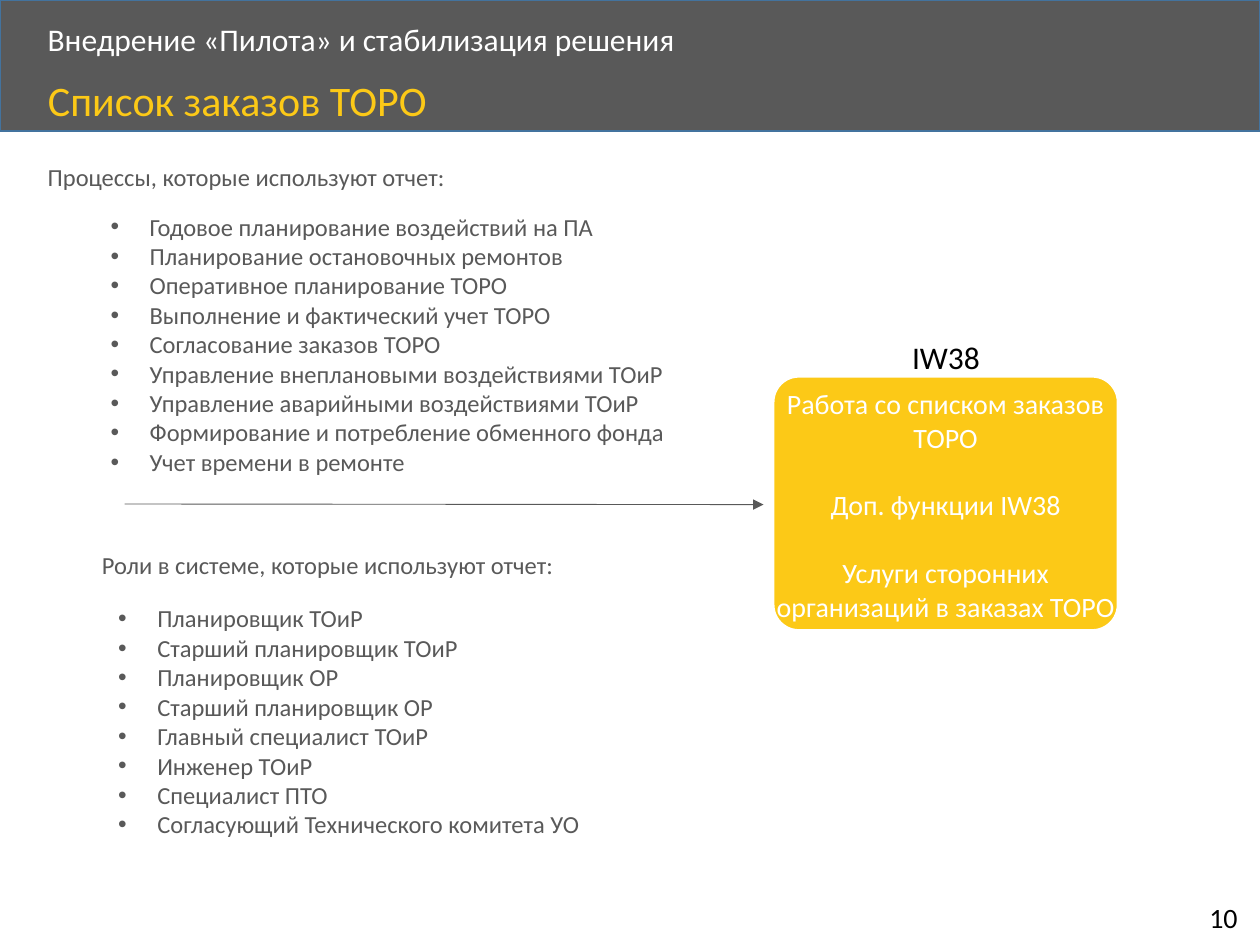
from lxml import etree
from pptx import Presentation
from pptx.dml.color import RGBColor
from pptx.enum.shapes import MSO_CONNECTOR, MSO_SHAPE
from pptx.enum.text import MSO_ANCHOR as ANCHOR, MSO_AUTO_SIZE as AUTO, PP_ALIGN as ALIGN
from pptx.oxml.ns import qn
from pptx.util import Inches, Pt

GREY = RGBColor(0x59, 0x59, 0x59)
YELLOW = RGBColor(0xFC, 0xC9, 0x17)
BLUE = RGBColor(0x43, 0x73, 0x9E)
WHITE = RGBColor(0xFF, 0xFF, 0xFF)
BLACK = RGBColor(0, 0, 0)

PROCESSES = [
    "Годовое планирование воздействий на ПА",
    "Планирование остановочных ремонтов",
    "Оперативное планирование ТОРО",
    "Выполнение и фактический учет ТОРО",
    "Согласование заказов ТОРО",
    "Управление внеплановыми воздействиями ТОиР",
    "Управление аварийными воздействиями ТОиР",
    "Формирование и потребление обменного фонда",
    "Учет времени в ремонте",
]
ROLES = [
    "Планировщик ТОиР",
    "Старший планировщик ТОиР",
    "Планировщик ОР",
    "Старший планировщик ОР",
    "Главный специалист ТОиР",
    "Инженер ТОиР",
    "Специалист ПТО",
    "Согласующий Технического комитета УО",
]
FUNCTIONS = [
    "Работа со списком заказов ТОРО",
    "Доп. функции IW38",
    "Услуги сторонних организаций в заказах ТОРО",
]


class SlideBuilder:
    font = "Calibri"
    indent = Inches(0.31)

    def __init__(self, slide):
        self.s = slide

    def format(self, p, size, color, align=ALIGN.LEFT, spacing=None):
        p.alignment = align
        p.line_spacing = spacing
        for r in p.runs:
            r.font.name = self.font
            r.font.size = Pt(size)
            r.font.color.rgb = color

    def title(self, text, x, y, w, h, size, color):
        sp = self.s.shapes.title
        sp.left, sp.top, sp.width, sp.height = map(Inches, (x, y, w, h))
        tf = sp.text_frame
        tf.text = text
        tf.word_wrap = True
        tf.auto_size = AUTO.NONE
        tf.vertical_anchor = ANCHOR.TOP
        self.format(tf.paragraphs[0], size, color, spacing=0.9)

    def box(self, kind, x, y, w, h, fill, line):
        sp = self.s.shapes.add_shape(kind, *map(Inches, (x, y, w, h)))
        sp.shadow.inherit = False
        sp.fill.solid()
        sp.fill.fore_color.rgb = fill
        sp.line.color.rgb = line
        sp.line.width = Pt(1)
        return sp

    def text(self, lines, x, y, w, h, size=14, color=GREY, align=ALIGN.LEFT,
             anchor=ANCHOR.TOP, wrap=True, bullets=False, gap=0, spacing=None, inset=None):
        sp = self.s.shapes.add_textbox(*map(Inches, (x, y, w, h)))
        tf = sp.text_frame
        tf.word_wrap = wrap
        tf.vertical_anchor = anchor
        if inset is not None:
            tf.margin_left = tf.margin_right = tf.margin_top = tf.margin_bottom = Inches(inset)
        for i, line in enumerate(lines):
            p = tf.add_paragraph() if i else tf.paragraphs[0]
            p.text = line
            if bullets:
                self.bullet(p)
            self.format(p, size, color, align, spacing)
            if i and gap:
                p.space_before = Pt(gap)
        return sp

    def bullet(self, p):
        pPr = p._p.get_or_add_pPr()
        pPr.set("marL", str(self.indent))
        pPr.set("indent", str(-self.indent))
        etree.SubElement(pPr, qn("a:buFont")).set("typeface", "Arial")
        etree.SubElement(pPr, qn("a:buChar")).set("char", "•")

    def arrow(self, x, y, target, site):
        cn = self.s.shapes.add_connector(
            MSO_CONNECTOR.STRAIGHT, Inches(x), Inches(y), target.left, target.top)
        cn.end_connect(target, site)
        cn.line.color.rgb = GREY
        cn.line.width = Pt(0.5)
        etree.SubElement(cn.line._get_or_add_ln(), qn("a:tailEnd")).set("type", "triangle")
        etree.SubElement(cn._element.spPr, qn("a:effectLst"))


def main():
    prs = Presentation()
    prs.slide_width, prs.slide_height = Inches(10), Inches(7.5)
    s = prs.slides.add_slide(prs.slide_layouts[5])
    b = SlideBuilder(s)

    # Header: the band goes behind the title
    band = b.box(MSO_SHAPE.RECTANGLE, 0, 0, 10, 1.04, GREY, BLUE)
    s.shapes.title._element.addprevious(band._element)
    b.text(["Внедрение «Пилота» и стабилизация решения"], 0.28, 0.14, 8.07, 0.38,
           18, WHITE, anchor=ANCHOR.MIDDLE, spacing=0.9)
    b.title("Список заказов ТОРО", 0.28, 0.59, 8.67, 0.45, 24, YELLOW)

    # Processes and roles
    b.text(["Процессы, которые используют отчет:"], 0.28, 1.24, 9.46, 0.34)
    b.text(PROCESSES, 0.78, 1.63, 5.06, 2.22, bullets=True)
    b.text(["Роли в системе, которые используют отчет:"], 0.71, 4.32, 9.2, 0.34)
    b.text(ROLES, 0.84, 4.74, 9.07, 1.99, bullets=True)

    # Report functions
    card = b.box(MSO_SHAPE.ROUNDED_RECTANGLE, 6.14, 2.99, 2.73, 2.01, YELLOW, WHITE)
    card.adjustments[0] = 0.1
    functions = b.text(FUNCTIONS, 6.06, 3.06, 2.89, 1.89, 16, WHITE, ALIGN.CENTER,
                       ANCHOR.MIDDLE, gap=19.5, inset=0.01)
    b.text(["IW38"], 7.14, 2.63, 0.75, 0.4, 18, BLACK, wrap=False)
    b.arrow(0.99, 4, functions, 1)

    # Page number
    b.text(["10"], 9.5, 7.1, 0.46, 0.37, 16, BLACK, wrap=False)

    prs.save("out.pptx")


if __name__ == "__main__":
    main()
